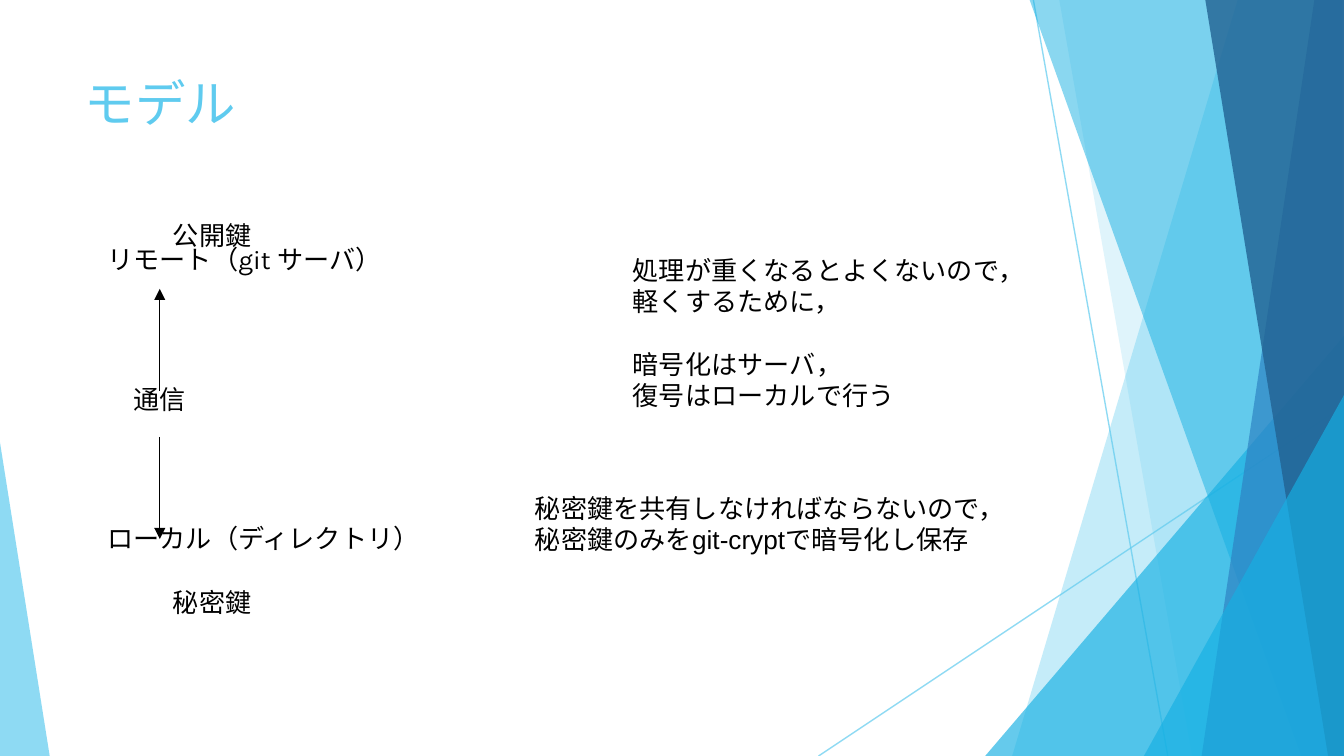
"""Build the key model slide with its faceted blue backdrop."""

from dataclasses import dataclass

from lxml import etree
from pptx import Presentation
from pptx.dml.color import RGBColor
from pptx.enum.shapes import MSO_CONNECTOR, MSO_SHAPE
from pptx.enum.text import MSO_ANCHOR, MSO_AUTO_SIZE, PP_ALIGN
from pptx.oxml.ns import qn
from pptx.util import Cm, Pt

STRAIGHT = MSO_CONNECTOR.STRAIGHT
TRIANGLE = MSO_SHAPE.ISOSCELES_TRIANGLE
TOP = MSO_ANCHOR.TOP
NO_AUTO_SIZE, GROW = MSO_AUTO_SIZE.NONE, MSO_AUTO_SIZE.SHAPE_TO_FIT_TEXT
LEFT = PP_ALIGN.LEFT
WIDTH, HEIGHT = 25.4, 14.29
PLACEHOLDER_INSETS = (0.18, 0.1)
TEXT_BOX_INSETS = (0.25, 0.13)


@dataclass(frozen=True)
class Theme:
    sky: str = "5FCBEF"
    cyan: str = "16B0E3"
    blue: str = "2E83C3"
    navy: str = "226292"
    black: str = "000000"
    heading_font: str = "Karla"
    note_font: str = "Arial"
    title_size: float = 27
    text_size: float = 14
    line_width: float = 0.75


@dataclass(frozen=True)
class Panel:
    top_left: float
    bottom_left: float
    color: str
    opacity: int
    right: float = WIDTH
    bottom_right: float = WIDTH


@dataclass(frozen=True)
class Triangle:
    box: tuple
    apex: float
    color: str
    opacity: int


@dataclass(frozen=True)
class Line:
    start: tuple
    end: tuple
    color: str
    opacity: int = 100
    arrow: bool = False


@dataclass(frozen=True)
class Paragraph:
    text: str
    space_before: float = 0
    indent: float = 0


@dataclass(frozen=True)
class TextBlock:
    box: tuple
    paragraphs: tuple
    font: str
    insets: tuple = TEXT_BOX_INSETS
    wrap: bool = True
    auto_size: MSO_AUTO_SIZE = GROW


THEME = Theme()
RAYS = (
    Line((19.53, 0), (22.07, HEIGHT), THEME.sky, 70),
    Line((WIDTH, 7.67), (15.47, HEIGHT), THEME.sky, 70),
)
FACETS = (
    Panel(23.39, 19.13, THEME.sky, 36),
    Panel(20.02, 22.53, THEME.sky, 20),
    Triangle((18.62, 6.35, 6.78, 7.94), 1, THEME.cyan, 66),
    Panel(19.46, 24.59, THEME.cyan, 50, 25.37, 25.37),
    Panel(24.84, 22.71, THEME.blue, 70),
    Panel(22.78, 25.1, THEME.navy, 80),
    Triangle((21.62, 7.47, 3.78, 6.82), 1, THEME.cyan, 66),
    Triangle((0, 8.36, 0.94, 5.93), 0, THEME.sky, 70),
)
ARROWS = tuple(
    Line((3.02, start), (3.02, end), THEME.black, arrow=True)
    for start, end in ((7.39, 5.46), (8.26, 10.19))
)
TEXT_BLOCKS = (
    TextBlock((1.42, 4.5, 7.14, 8.08), (
        Paragraph("リモート（git サーバ）", 8, 0.43),
        Paragraph("通信", 58, 0.92),
        Paragraph("ローカル（ディレクトリ）", 58, 0.43),
    ), THEME.heading_font, PLACEHOLDER_INSETS, auto_size=NO_AUTO_SIZE),
    TextBlock((11.71, 4.67, 8, 3.25), (
        Paragraph("処理が重くなるとよくないので，"),
        Paragraph("軽くするために，"),
        Paragraph("暗号化はサーバ，", 17),
        Paragraph("復号はローカルで行う"),
    ), THEME.note_font, wrap=False),
    TextBlock((3.02, 4.01, 2.39, 0.86), (Paragraph("公開鍵"),), THEME.note_font),
    TextBlock((3.02, 10.95, 2.39, 0.86), (Paragraph("秘密鍵"),), THEME.note_font),
    TextBlock((9.86, 9.17, 9.17, 2.06), (
        Paragraph("秘密鍵を共有しなければならないので，"),
        Paragraph("秘密鍵のみをgit-cryptで暗号化し保存"),
    ), THEME.note_font),
)


def apply_format(target, values: dict) -> None:
    """Set every named attribute on the target."""
    for name, value in values.items():
        setattr(target, name, value)


def apply_color(fill, color: str, opacity: int) -> None:
    """Give a fill a solid colour with the stated opacity in percent."""
    fill.solid()
    fill.fore_color.rgb = RGBColor.from_string(color)
    if opacity < 100:
        solid = fill._xPr.find(qn("a:solidFill"))
        etree.SubElement(solid[0], qn("a:alpha"), val=str(opacity * 1000))


def draw_line(slide, line: Line) -> None:
    """Draw a straight connector, with an arrowhead if asked."""
    connector = slide.shapes.add_connector(STRAIGHT, *map(Cm, line.start + line.end))
    apply_color(connector.line.fill, line.color, line.opacity)
    connector.line.width = Pt(THEME.line_width)
    if line.arrow:
        etree.SubElement(connector.line._ln, qn("a:tailEnd"), type="triangle")
    etree.SubElement(connector.element.spPr, qn("a:effectLst"))


def draw_facet(slide, facet: Panel | Triangle) -> None:
    """Draw one translucent facet of the backdrop."""
    if isinstance(facet, Triangle):
        shape = slide.shapes.add_shape(TRIANGLE, *map(Cm, facet.box))
        shape.adjustments[0] = facet.apex
    else:
        builder = slide.shapes.build_freeform(Cm(facet.top_left), 0)
        corners = ((facet.right, 0), (facet.bottom_right, HEIGHT), (facet.bottom_left, HEIGHT))
        builder.add_line_segments([(Cm(x), Cm(y)) for x, y in corners], close=True)
        shape = builder.convert_to_shape()
    apply_color(shape.fill, facet.color, facet.opacity)
    shape.line.fill.background()
    shape.shadow.inherit = False


def format_frame(frame, insets: tuple, wrap: bool, auto_size: MSO_AUTO_SIZE) -> None:
    """Set the margins, wrapping and anchor of a text frame."""
    side, edge = map(Cm, insets)
    apply_format(frame, {
        "margin_left": side, "margin_right": side, "margin_top": edge, "margin_bottom": edge,
        "word_wrap": wrap, "auto_size": auto_size, "vertical_anchor": TOP,
    })


def write_paragraph(paragraph, content: Paragraph, font: str, size: float, color: str) -> None:
    """Write one left-aligned paragraph."""
    run = paragraph.add_run()
    run.text = content.text
    apply_format(paragraph, {"alignment": LEFT, "space_before": Pt(content.space_before)})
    apply_format(run.font, {"name": font, "size": Pt(size)})
    run.font.color.rgb = RGBColor.from_string(color)
    paragraph._p.get_or_add_pPr().set("marL", str(Cm(content.indent)))


def draw_text(slide, block: TextBlock) -> None:
    """Draw a text box with its paragraphs."""
    frame = slide.shapes.add_textbox(*map(Cm, block.box)).text_frame
    format_frame(frame, block.insets, block.wrap, block.auto_size)
    for index, content in enumerate(block.paragraphs):
        paragraph = frame.add_paragraph() if index else frame.paragraphs[0]
        write_paragraph(paragraph, content, block.font, THEME.text_size, THEME.black)


def draw_title(slide, text: str) -> None:
    """Place the title in front of the backdrop and format it."""
    title = slide.shapes.title
    slide.shapes.element.append(title.element)
    apply_format(title, dict(zip(("left", "top", "width", "height"), map(Cm, (1.42, 1.27, 17.91, 2.74)))))
    format_frame(title.text_frame, PLACEHOLDER_INSETS, True, NO_AUTO_SIZE)
    write_paragraph(title.text_frame.paragraphs[0], Paragraph(text),
                    THEME.heading_font, THEME.title_size, THEME.sky)


def main() -> None:
    """Build and save the presentation."""
    presentation = Presentation()
    apply_format(presentation, {"slide_width": Cm(WIDTH), "slide_height": Cm(HEIGHT)})
    slide = presentation.slides.add_slide(presentation.slide_layouts.get_by_name("Title Only"))
    for ray in RAYS:
        draw_line(slide, ray)
    for facet in FACETS:
        draw_facet(slide, facet)
    draw_title(slide, "モデル")
    for arrow in ARROWS:
        draw_line(slide, arrow)
    for block in TEXT_BLOCKS:
        draw_text(slide, block)
    presentation.save("out.pptx")


if __name__ == "__main__":
    main()
